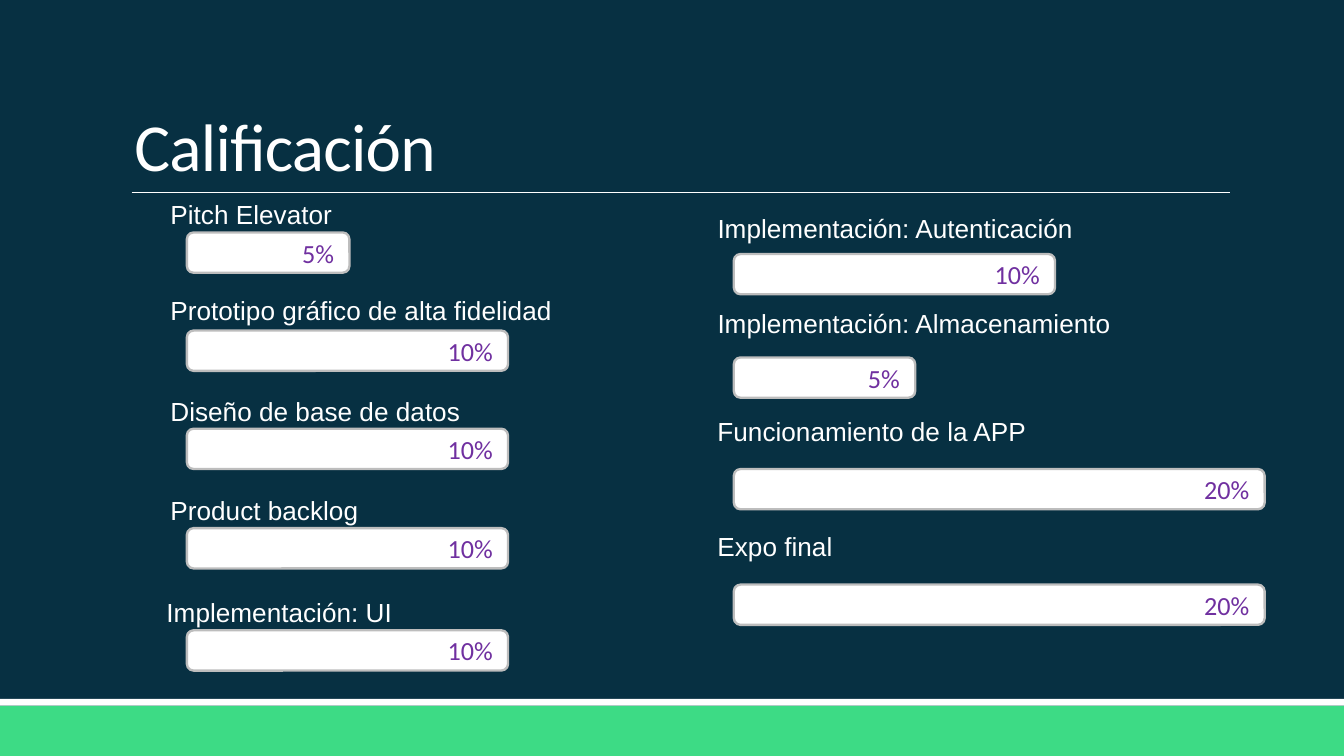
from pptx import Presentation
from pptx.dml.color import RGBColor
from pptx.enum.shapes import MSO_CONNECTOR, MSO_SHAPE
from pptx.enum.text import MSO_ANCHOR, MSO_AUTO_SIZE, PP_ALIGN
from pptx.oxml.ns import qn
from pptx.util import Inches, Pt
from lxml.etree import SubElement

THEME = {
    "navy": RGBColor.from_string("073042"),
    "green": RGBColor.from_string("3DDB85"),
    "white": RGBColor.from_string("FFFFFF"),
    "grey": RGBColor.from_string("BDBDBD"),
    "purple": RGBColor.from_string("7030A0"),
    "title_font": "Calibri", "label_font": "Arial", "percent_font": "Calibri",
    "title_size": Pt(36), "body_size": Pt(14),
}

TITLE = "Calificación"
SLIDE_WIDTH = 10
SLIDE_HEIGHT = SLIDE_WIDTH * 9 / 16
FOOTER_TOP, STRIPE_HEIGHT = 5.25, 0.05
LABEL_HEIGHT, BAR_HEIGHT = 0.34, 0.3
# Bar width in inches for each weight
LEFT_BARS = {5: 1.21, 10: 2.39}
RIGHT_BARS = {5: 1.35, 10: 2.39, 20: 3.95}

# Bar left edge, bar widths, and
# (criterion, weight, label left, label top, label width, bar top)
COLUMNS = [
    (1.39, LEFT_BARS, [
        ("Pitch Elevator", 5, 1.17, 1.43, 1.73, 1.73),
        ("Prototipo gráfico de alta fidelidad", 10, 1.17, 2.14, 3.4, 2.46),
        ("Diseño de base de datos", 10, 1.17, 2.89, 3.17, 3.19),
        ("Product backlog", 10, 1.17, 3.63, 3.72, 3.93),
        ("Implementación: UI", 10, 1.14, 4.39, 3.72, 4.69),
    ]),
    (5.46, RIGHT_BARS, [
        ("Implementación: Autenticación", 10, 5.24, 1.53, 3.55, 1.89),
        ("Implementación: Almacenamiento", 5, 5.24, 2.24, 3.55, 2.66),
        ("Funcionamiento de la APP", 20, 5.24, 3.04, 3.86, 3.49),
        ("Expo final", 20, 5.24, 3.9, 1.73, 4.35),
    ]),
]


def write(paragraph, text, font, size, color):
    run = paragraph.add_run()
    run.text = text
    run.font.name = font
    run.font.size = size
    run.font.color.rgb = color
    return run


def add_box(slide, preset, left, top, width, height, fill):
    box = slide.shapes.add_shape(
        preset, Inches(left), Inches(top), Inches(width), Inches(height))
    box.shadow.inherit = False
    box.fill.solid()
    box.fill.fore_color.rgb = fill
    box.line.fill.background()
    return box


def add_frame(slide):
    """Draw the background, the footer bands and the rule under the title."""
    slide.background.fill.solid()
    slide.background.fill.fore_color.rgb = THEME["navy"]
    add_box(slide, MSO_SHAPE.RECTANGLE, 0, FOOTER_TOP,
            SLIDE_WIDTH, SLIDE_HEIGHT - FOOTER_TOP, THEME["green"])
    add_box(slide, MSO_SHAPE.RECTANGLE, 0, FOOTER_TOP - STRIPE_HEIGHT,
            SLIDE_WIDTH, STRIPE_HEIGHT, THEME["white"])
    rule = slide.shapes.add_connector(
        MSO_CONNECTOR.STRAIGHT, Inches(0.98), Inches(1.43), Inches(9.15), Inches(1.43))
    rule.line.color.rgb = THEME["white"]
    rule.line.width = Pt(0.5)
    SubElement(rule._element.spPr, qn("a:effectLst"))


def format_title(title):
    title.left, title.top = Inches(0.9), Inches(0.24)
    title.width, title.height = Inches(8.25), Inches(1.19)
    frame = title.text_frame
    frame.auto_size = MSO_AUTO_SIZE.NONE
    frame.vertical_anchor = MSO_ANCHOR.BOTTOM
    heading = frame.paragraphs[0]
    heading.alignment = PP_ALIGN.LEFT
    heading.line_spacing = 0.85
    run = write(heading, TITLE, THEME["title_font"], THEME["title_size"], THEME["white"])
    run.font._element.set("spc", "-40")


def add_label(slide, criterion, left, top, width):
    label = slide.shapes.add_textbox(
        Inches(left), Inches(top), Inches(width), Inches(LABEL_HEIGHT))
    frame = label.text_frame
    frame.word_wrap = True
    frame.auto_size = MSO_AUTO_SIZE.SHAPE_TO_FIT_TEXT
    write(frame.paragraphs[0], criterion,
          THEME["label_font"], THEME["body_size"], THEME["white"])


def add_bar(slide, weight, left, top, width):
    bar = add_box(slide, MSO_SHAPE.ROUNDED_RECTANGLE,
                  left, top, width, BAR_HEIGHT, THEME["white"])
    bar.line.color.rgb = THEME["grey"]
    bar.line.width = Pt(1.25)
    bar.text_frame.vertical_anchor = MSO_ANCHOR.MIDDLE
    percent = bar.text_frame.paragraphs[0]
    percent.alignment = PP_ALIGN.RIGHT
    write(percent, f"{weight}%",
          THEME["percent_font"], THEME["body_size"], THEME["purple"])


def main():
    deck = Presentation()
    deck.slide_width, deck.slide_height = Inches(SLIDE_WIDTH), Inches(SLIDE_HEIGHT)
    slide = deck.slides.add_slide(deck.slide_layouts[5])
    add_frame(slide)
    format_title(slide.shapes.title)
    for bar_left, bar_widths, criteria in COLUMNS:
        for criterion, weight, label_left, label_top, label_width, bar_top in criteria:
            add_label(slide, criterion, label_left, label_top, label_width)
            add_bar(slide, weight, bar_left, bar_top, bar_widths[weight])
    deck.save("out.pptx")


if __name__ == "__main__":
    main()
